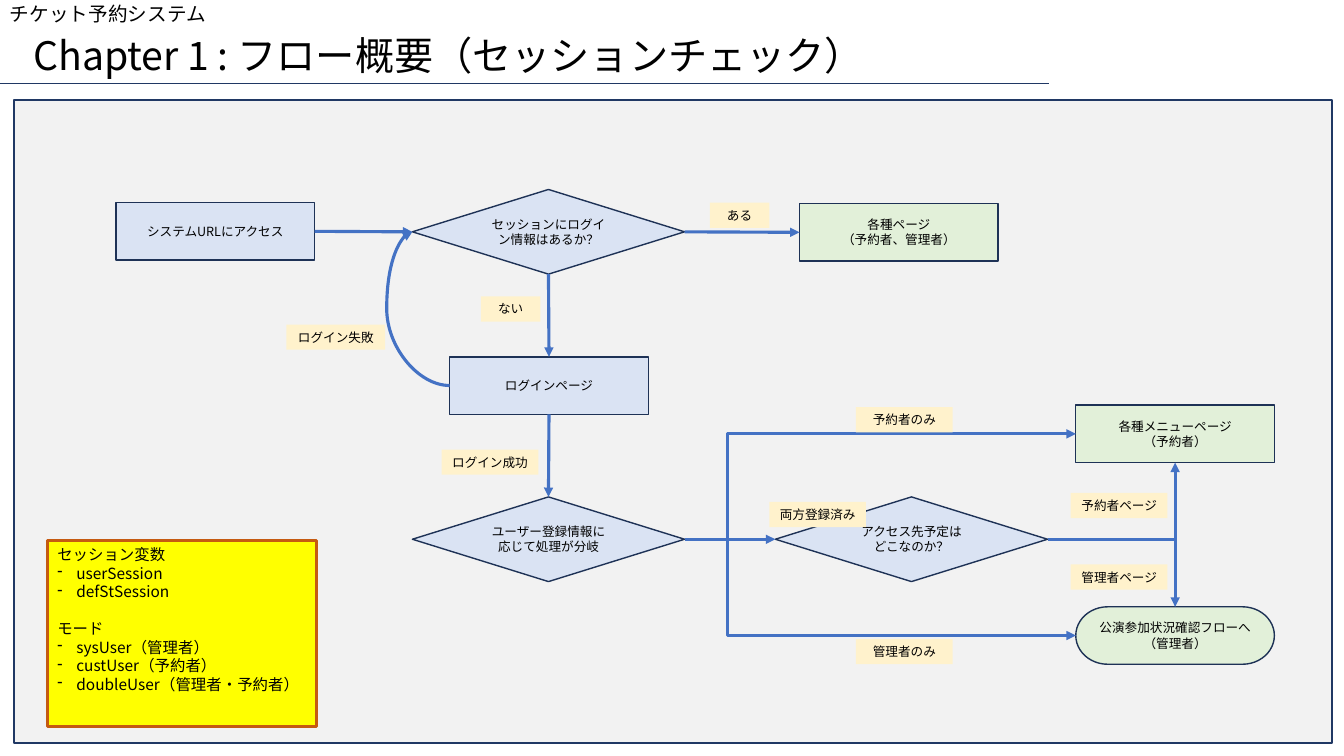
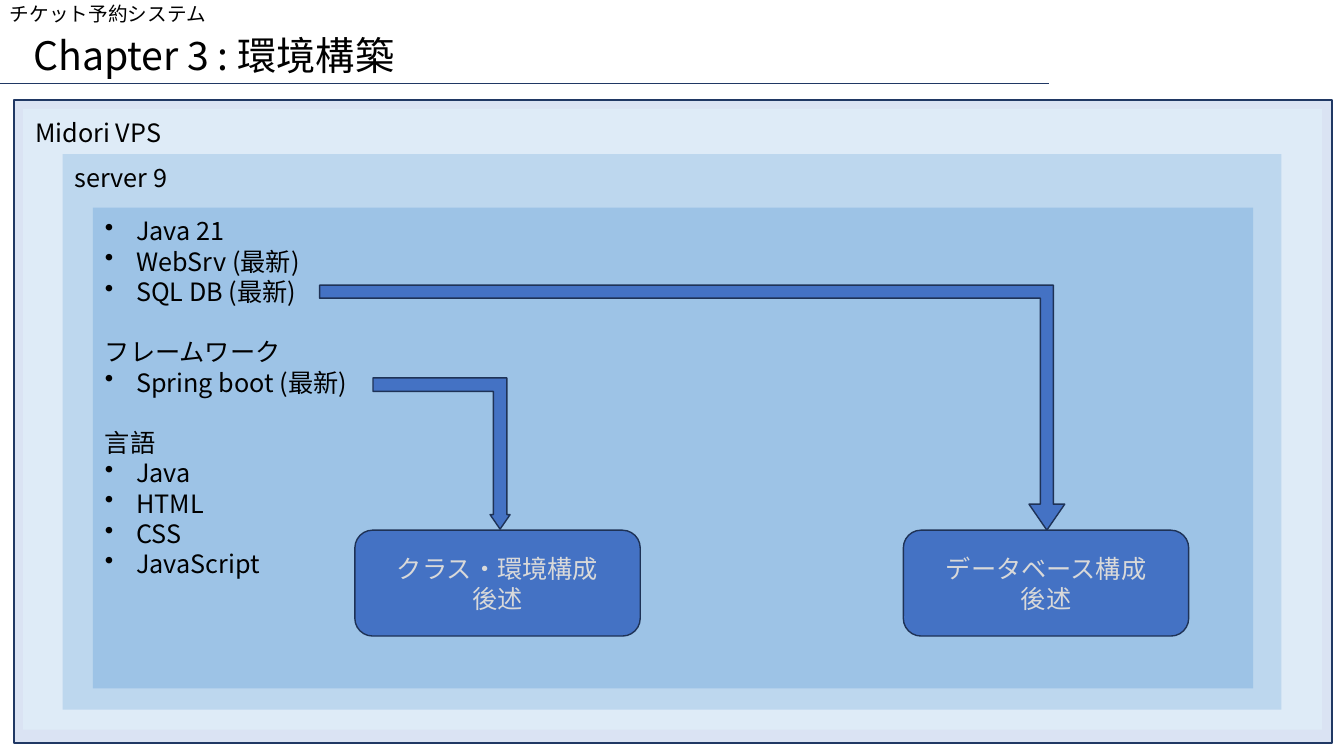
import pptx
import pptx.util
import pptx.dml.color
import pptx.enum.shapes
import pptx.enum.text
import pptx.oxml.ns
from lxml import etree

Inches, Pt = pptx.util.Inches, pptx.util.Pt
RGBColor = pptx.dml.color.RGBColor
SHAPE = pptx.enum.shapes.MSO_SHAPE
CONNECTOR = pptx.enum.shapes.MSO_CONNECTOR
ANCHOR = pptx.enum.text.MSO_ANCHOR
ALIGN = pptx.enum.text.PP_ALIGN
qn = pptx.oxml.ns.qn

FONT = "Noto Sans CJK JP"
BLACK = RGBColor(0x00, 0x00, 0x00)
NAVY = RGBColor(0x20, 0x38, 0x64)
OUTLINE = RGBColor(0x1E, 0x32, 0x56)
BLUE = RGBColor(0x44, 0x72, 0xC4)
PALE_BLUE = RGBColor(0xDA, 0xE3, 0xF3)
PALE_GREEN = RGBColor(0xE2, 0xF0, 0xD9)
CREAM = RGBColor(0xFF, 0xF2, 0xCC)
YELLOW = RGBColor(0xFF, 0xFF, 0x00)
ORANGE = RGBColor(0xC5, 0x5A, 0x11)
GREY = RGBColor(0xF2, 0xF2, 0xF2)
LIGHT_TEXT = RGBColor(0xD9, 0xD9, 0xD9)
SERVER = RGBColor(0xDE, 0xEB, 0xF7)
SYSTEM = RGBColor(0xBD, 0xD7, 0xEE)
SOFTWARE = RGBColor(0x9D, 0xC3, 0xE6)


def write(tf, text, size, color=BLACK, align=ALIGN.LEFT, anchor=ANCHOR.TOP):
    """Fill a text frame; lines that start with - or • become bullets."""
    tf.word_wrap = True
    tf.vertical_anchor = anchor
    after_bullet = False
    for i, line in enumerate(text.split("\n")):
        p = tf.paragraphs[0] if i == 0 else tf.add_paragraph()
        is_bullet = line[0] in "-•"
        p.text = line[1:] if is_bullet else line
        p.alignment = align
        if is_bullet:
            pPr = p._p.get_or_add_pPr()
            indent = Pt(size * 1.24)
            pPr.set("marL", str(indent))
            pPr.set("indent", str(-indent))
            etree.SubElement(pPr, qn("a:buChar")).set("char", line[0])
        elif after_bullet:
            p.space_before = Pt(size * 1.2)
        after_bullet = is_bullet
        for r in p.runs:
            r.font.size = Pt(size)
            r.font.name = FONT
            r.font.color.rgb = color
            etree.SubElement(r._r.get_or_add_rPr(), qn("a:ea")).set("typeface", FONT)


def add_box(s, kind, x, y, w, h, fill, line=None, width=1):
    sp = s.shapes.add_shape(kind, Inches(x), Inches(y), Inches(w), Inches(h))
    sp.shadow.inherit = False
    sp.fill.solid()
    sp.fill.fore_color.rgb = fill
    if line is None:
        sp.line.fill.background()
    else:
        sp.line.color.rgb = line
        sp.line.width = Pt(width)
    return sp


prs = pptx.Presentation()
prs.slide_width, prs.slide_height = Inches(13.33), Inches(7.5)

# Shared frame: system name, title, rule and main panel
slides = []
for title, panel in [("Chapter 1 : フロー概要（セッションチェック）", GREY),
                     ("Chapter 3 : 環境構築", PALE_BLUE)]:
    s = prs.slides.add_slide(prs.slide_layouts[5])
    sp = s.shapes.title
    sp.left, sp.top, sp.width, sp.height = Inches(0.23), Inches(0.26), Inches(8.77), Inches(0.57)
    write(sp.text_frame, title, 28)
    sp = s.shapes.add_textbox(0, 0, Inches(2.19), Inches(0.35))
    write(sp.text_frame, "チケット予約システム", 14)
    sp.text_frame.paragraphs[0].line_spacing = 0.9
    rule = s.shapes.add_connector(CONNECTOR.STRAIGHT, 0, Inches(0.83), Inches(10.4), Inches(0.83))
    rule.line.color.rgb = NAVY
    rule.line.width = Pt(1)
    etree.SubElement(rule._element.spPr, qn("a:effectLst"))
    add_box(s, SHAPE.RECTANGLE, 0.14, 0.99, 13.07, 6.38, panel, NAVY)
    slides.append(s)
flow, environment = slides

# Session variables note
sp = add_box(flow, SHAPE.RECTANGLE, 0.47, 5.36, 2.67, 1.85, YELLOW, ORANGE, 2.25)
write(sp.text_frame, "セッション変数\n-userSession\n-defStSession\nモード\n-sysUser（管理者）\n"
      "-custUser（予約者）\n-doubleUser（管理者・予約者）", 11)

# Flow steps
STEP, CHOICE = (1.97, 0.57), (2.7, 0.84)
nodes = {}
for name, kind, x, y, (w, h), fill, text in [
    ("access", SHAPE.RECTANGLE, 1.15, 2.01, STEP, PALE_BLUE, "システムURLにアクセス"),
    ("session", SHAPE.FLOWCHART_DECISION, 4.09, 1.88, CHOICE, PALE_BLUE,
     "セッションにログイン情報はあるか？"),
    ("pages", SHAPE.RECTANGLE, 7.93, 2.02, STEP, PALE_GREEN, "各種ページ\n（予約者、管理者）"),
    ("login", SHAPE.RECTANGLE, 4.46, 3.54, STEP, PALE_BLUE, "ログインページ"),
    ("user", SHAPE.FLOWCHART_DECISION, 4.09, 4.93, CHOICE, PALE_BLUE,
     "ユーザー登録情報に応じて処理が分岐"),
    ("target", SHAPE.FLOWCHART_DECISION, 7.69, 4.93, CHOICE, PALE_BLUE,
     "アクセス先予定は\nどこなのか？"),
    ("menu", SHAPE.RECTANGLE, 10.67, 4.02, STEP, PALE_GREEN, "各種メニューページ\n（予約者）"),
    ("admin", SHAPE.FLOWCHART_TERMINATOR, 10.67, 6.02, STEP, PALE_GREEN,
     "公演参加状況確認フローへ\n（管理者）"),
]:
    sp = add_box(flow, kind, x, y, w, h, fill, OUTLINE)
    write(sp.text_frame, text, 9, align=ALIGN.CENTER, anchor=ANCHOR.MIDDLE)
    nodes[name] = sp

# Arrows between steps: sides, connector type, preset and bend position
TOP, LEFT, BOTTOM, RIGHT = range(4)
for start, side1, end, side2, kind, preset, bend in [
    ("access", RIGHT, "session", LEFT, CONNECTOR.STRAIGHT, None, None),
    ("session", RIGHT, "pages", LEFT, CONNECTOR.STRAIGHT, None, None),
    ("session", BOTTOM, "login", TOP, CONNECTOR.STRAIGHT, None, None),
    ("login", LEFT, "session", LEFT, CONNECTOR.CURVE, None, 168700),
    ("login", BOTTOM, "user", TOP, CONNECTOR.STRAIGHT, None, None),
    ("user", RIGHT, "target", LEFT, CONNECTOR.STRAIGHT, None, None),
    ("user", RIGHT, "menu", LEFT, CONNECTOR.ELBOW, None, 10900),
    ("user", RIGHT, "admin", LEFT, CONNECTOR.ELBOW, None, 10900),
    ("target", RIGHT, "menu", BOTTOM, CONNECTOR.ELBOW, "bentConnector2", None),
    ("target", RIGHT, "admin", TOP, CONNECTOR.ELBOW, "bentConnector2", None),
]:
    arrow = flow.shapes.add_connector(kind, 0, 0, 0, 0)
    arrow.begin_connect(nodes[start], side1)
    arrow.end_connect(nodes[end], side2)
    arrow.line.color.rgb = BLUE
    arrow.line.width = Pt(2.25)
    spPr = arrow._element.spPr
    etree.SubElement(spPr.find(qn("a:ln")), qn("a:tailEnd")).set("type", "triangle")
    etree.SubElement(spPr, qn("a:effectLst"))
    geometry = spPr.find(qn("a:prstGeom"))
    if preset:
        geometry.set("prst", preset)
    if bend:
        guide = etree.SubElement(geometry.find(qn("a:avLst")), qn("a:gd"))
        guide.set("name", "adj1")
        guide.set("fmla", f"val {bend}")

# Arrow labels
for x, y, w, text in [
    (4.77, 2.94, 0.59, "ない"),
    (7.04, 2.01, 0.59, "ある"),
    (2.84, 3.22, 0.98, "ログイン失敗"),
    (4.38, 4.46, 0.96, "ログイン成功"),
    (8.49, 4.04, 0.96, "予約者のみ"),
    (8.49, 6.34, 0.96, "管理者のみ"),
    (10.62, 4.89, 0.96, "予約者ページ"),
    (10.62, 5.6, 0.96, "管理者ページ"),
    (7.63, 4.98, 0.96, "両方登録済み"),
]:
    sp = add_box(flow, SHAPE.RECTANGLE, x, y, w, 0.25, CREAM)
    write(sp.text_frame, text, 9, align=ALIGN.CENTER)

# Nested environment layers
for x, y, w, h, fill, text in [
    (0.23, 1.08, 12.88, 6.16, SERVER, "Midori VPS"),
    (0.62, 1.53, 12.09, 5.51, SYSTEM, "server 9"),
    (0.92, 2.06, 11.51, 4.77, SOFTWARE,
     "•Java 21\n•WebSrv (最新)\n•SQL DB (最新)\nフレームワーク\n•Spring boot (最新)\n"
     "言語\n•Java\n•HTML\n•CSS\n•JavaScript"),
]:
    sp = add_box(environment, SHAPE.RECTANGLE, x, y, w, h, fill)
    write(sp.text_frame, text, 18)
    sp.text_frame.margin_left = Inches(0.12)
    sp.text_frame.margin_top = Inches(0.08)

# Topics described later, each with its bent arrow
for x, text, arrow_box, thickness in [
    (8.96, "データベース構成\n後述", (3.17, 2.83, 7.39, 2.43), 0.053),
    (3.52, "クラス・環境構成\n後述", (3.7, 3.75, 1.36, 1.5), 0.098),
]:
    sp = add_box(environment, SHAPE.BENT_UP_ARROW, *arrow_box, BLUE, OUTLINE)
    sp._element.spPr.xfrm.set("flipV", "1")
    for i, value in enumerate((thickness, 0.073, 0.106)):
        sp.adjustments[i] = value
    sp = add_box(environment, SHAPE.ROUNDED_RECTANGLE, x, 5.26, 2.83, 1.05, BLUE, OUTLINE)
    write(sp.text_frame, text, 18, LIGHT_TEXT, ALIGN.CENTER, ANCHOR.MIDDLE)

prs.save("out.pptx")
